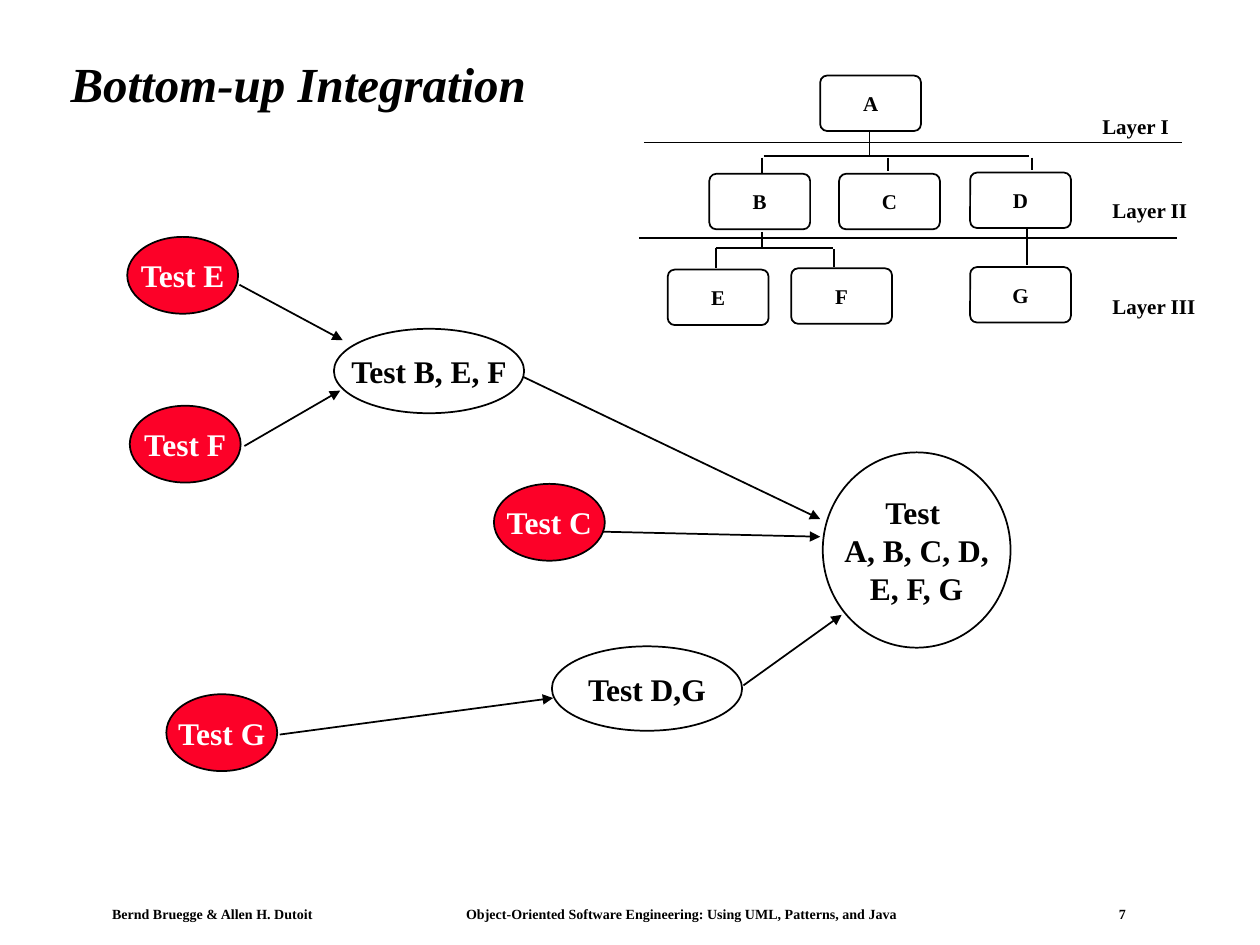
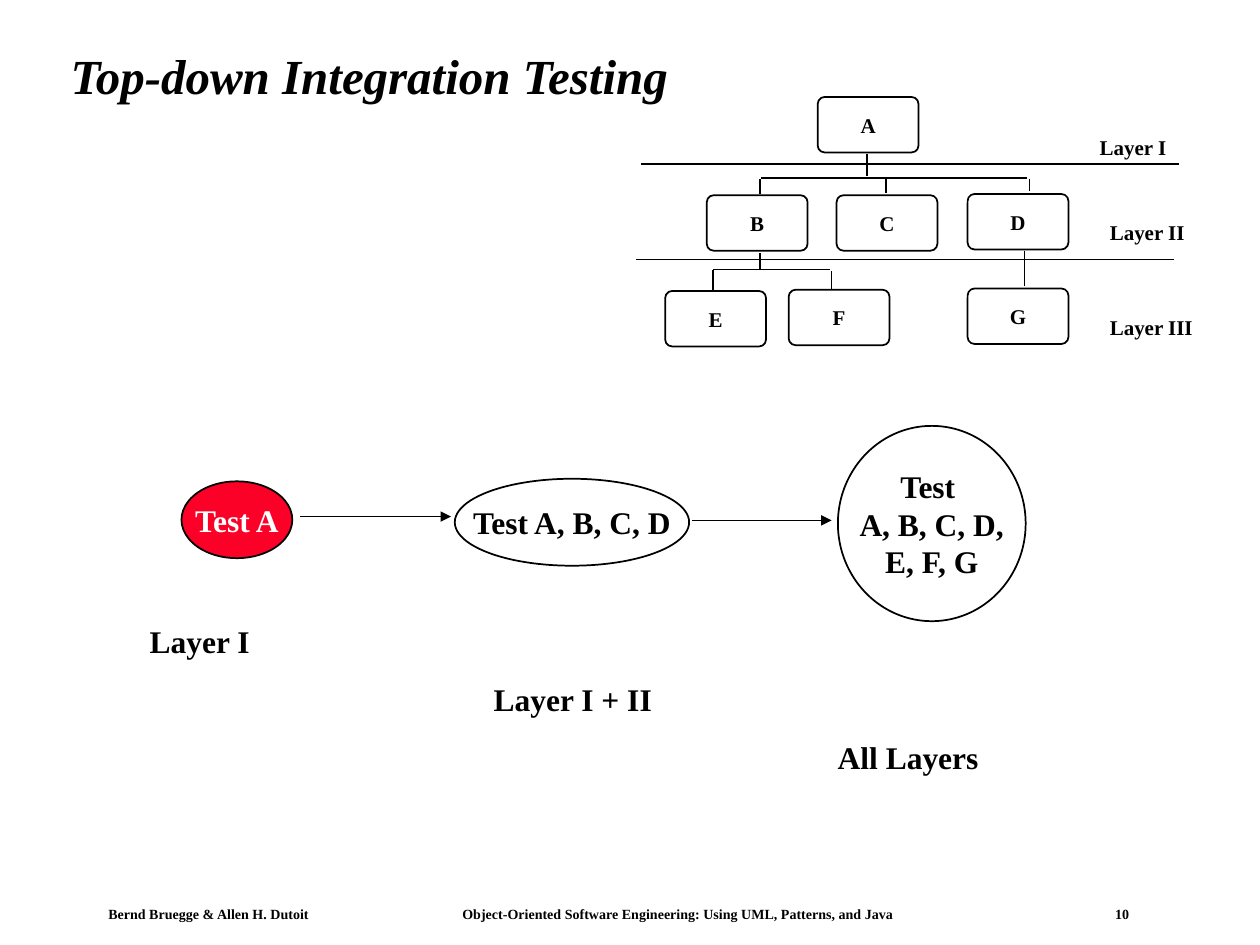
from lxml.etree import SubElement
from pptx import Presentation
from pptx.dml.color import RGBColor
from pptx.enum.shapes import MSO_CONNECTOR, MSO_SHAPE
from pptx.enum.text import MSO_ANCHOR, PP_ALIGN
from pptx.oxml.ns import qn
from pptx.util import Inches, Pt

FONT = "Times New Roman"
BLACK = RGBColor(0x00, 0x00, 0x00)
WHITE = RGBColor(0xFF, 0xFF, 0xFF)
RED = RGBColor(0xFC, 0x01, 0x28)

FOOTER = ("Bernd Bruegge & Allen H. Dutoit",
          "Object-Oriented Software Engineering: Using UML, Patterns, and Java")
FOOTER_TABS = (2.81, 7.99)

# Module hierarchy, measured from its own top left corner
BOX_SIZE = (0.8, 0.44)
MODULES = {"A": (1.44, 0), "B": (0.56, 0.78), "C": (1.59, 0.78), "D": (2.63, 0.77),
           "E": (0.23, 1.54), "F": (1.21, 1.53), "G": (2.63, 1.52)}
BRANCHES = [
    (1.83, 0.45, 1.83, 0.63), (0.99, 0.64, 3.10, 0.64),   # A down to its bar
    (0.98, 0.65, 0.98, 0.77), (1.98, 0.65, 1.98, 0.76), (3.12, 0.65, 3.12, 0.75),
    (0.98, 1.24, 0.98, 1.37), (0.61, 1.37, 1.54, 1.37),   # B down to its bar
    (0.61, 1.37, 0.61, 1.53), (1.55, 1.38, 1.55, 1.52),
    (3.08, 1.22, 3.08, 1.50),                             # D to G
]
LAYER_BORDERS = [(0.04, 0.53, 4.31, 0.53), (0, 1.29, 4.27, 1.29)]
LAYER_LABELS = [("Layer I", 3.58, 0.25, 0.73), ("Layer II", 3.66, 0.92, 0.8),
                ("Layer III", 3.66, 1.68, 0.86)]

# Test bubbles: text, left, top and kind
BUBBLE_KINDS = {  # width, height, fill, font colour
    "single": (0.88, 0.61, RED, WHITE),
    "partial": (1.51, 0.67, None, BLACK),
    "layers": (1.86, 0.69, None, BLACK),
    "system": (1.49, 1.55, None, BLACK),
}
ALL_MODULES = "Test \nA, B, C, D,\nE, F, G"
SLIDES = [
    {
        "title": "Bottom-up Integration", "title_box": (0.46, 0.22, 8.92, 0.94),
        "number": 7, "footer_left": 0.81, "hierarchy": (5.07, 0.6),
        "bubbles": [
            ("Test E", 1.01, 1.88, "single"), ("Test F", 1.03, 3.22, "single"),
            ("Test G", 1.32, 5.51, "single"), ("Test C", 3.92, 3.84, "single"),
            ("Test B, E, F", 2.65, 2.61, "partial"),
            ("Test D,G", 4.38, 5.13, "partial"),
            (ALL_MODULES, 6.53, 3.59, "system"),
        ],
        "arrows": [
            (1.90, 2.26, 2.72, 2.70), (1.94, 3.54, 2.70, 3.10),
            (2.22, 5.83, 4.39, 5.54), (4.15, 2.99, 6.51, 4.12),
            (4.78, 4.22, 6.51, 4.26), (5.90, 5.44, 6.68, 4.88),
        ],
        "captions": [],
    },
    {
        "title": "Top-down Integration Testing", "title_box": (0.46, 0.24, 8.92, 0.77),
        "number": 10, "footer_left": 0.78, "hierarchy": (5.05, 0.77),
        "bubbles": [
            ("Test A", 1.44, 3.82, "single"),
            ("Test A, B, C, D", 3.61, 3.80, "layers"),
            (ALL_MODULES, 6.65, 3.38, "system"),
        ],
        "arrows": [(2.38, 4.10, 3.58, 4.10), (5.49, 4.13, 6.60, 4.13)],
        "captions": [("Layer I", 1.09, 4.89, 1.0), ("Layer I + II", 3.82, 5.35, 1.46),
                     ("All Layers", 6.55, 5.81, 1.32)],
    },
]


def inches(values):
    return [Inches(value) for value in values]


def format_text(text_frame, size, color=BLACK, align=PP_ALIGN.LEFT, italic=False):
    for paragraph in text_frame.paragraphs:
        paragraph.alignment = align
        for run in paragraph.runs:
            run.font.name = FONT
            run.font.size = Pt(size)
            run.font.bold = True
            run.font.italic = italic
            run.font.color.rgb = color


def add_node(slide, preset, box, text, size, fill=None, color=BLACK):
    shape = slide.shapes.add_shape(preset, *inches(box))
    shape.shadow.inherit = False
    if fill is None:
        shape.fill.background()
    else:
        shape.fill.solid()
        shape.fill.fore_color.rgb = fill
    shape.line.color.rgb = BLACK
    shape.line.width = Pt(1)
    shape.text_frame.text = text
    shape.text_frame.word_wrap = False
    shape.text_frame.vertical_anchor = MSO_ANCHOR.MIDDLE
    format_text(shape.text_frame, size, color, PP_ALIGN.CENTER)
    return shape


def add_line(slide, ends, arrow=False):
    connector = slide.shapes.add_connector(MSO_CONNECTOR.STRAIGHT, *inches(ends))
    connector.line.color.rgb = BLACK
    connector.line.width = Pt(1)
    if arrow:
        SubElement(connector.line._get_or_add_ln(), qn("a:tailEnd"), type="triangle")
    SubElement(connector._element.spPr, qn("a:effectLst"))


def add_label(slide, text, left, top, width, height, size):
    label = slide.shapes.add_textbox(*inches((left, top, width, height)))
    label.text_frame.word_wrap = False
    label.text_frame.text = text
    format_text(label.text_frame, size)
    return label


def add_title(slide, text, box):
    title = slide.shapes.title
    title.left, title.top, title.width, title.height = inches(box)
    title.text_frame.text = text
    title.text_frame.vertical_anchor = MSO_ANCHOR.MIDDLE
    title.text_frame.paragraphs[0].line_spacing = 0.9
    format_text(title.text_frame, 28, italic=True)


def add_footer(slide, left, number):
    text = "\t".join((*FOOTER, str(number)))
    frame = add_label(slide, text, left, 7.15, 8.5, 0.21, 8).text_frame
    frame.word_wrap = True
    frame.margin_left = frame.margin_right = Inches(0.08)
    frame.margin_top = frame.margin_bottom = Inches(0.04)
    tab_list = SubElement(frame.paragraphs[0]._p.get_or_add_pPr(), qn("a:tabLst"))
    for position in FOOTER_TABS:
        SubElement(tab_list, qn("a:tab"), pos=str(Inches(position)), algn="l")


def add_hierarchy(slide, left, top):
    for name, (x, y) in MODULES.items():
        box = add_node(slide, MSO_SHAPE.ROUNDED_RECTANGLE,
                       (left + x, top + y, *BOX_SIZE), name, 12)
        box.adjustments[0] = 0.125
    for x1, y1, x2, y2 in BRANCHES + LAYER_BORDERS:
        add_line(slide, (left + x1, top + y1, left + x2, top + y2))
    for text, x, y, width in LAYER_LABELS:
        add_label(slide, text, left + x, top + y, width, 0.3, 12)


def build_slide(presentation, content):
    slide = presentation.slides.add_slide(presentation.slide_layouts[5])
    add_footer(slide, content["footer_left"], content["number"])
    add_title(slide, content["title"], content["title_box"])
    add_hierarchy(slide, *content["hierarchy"])

    # Test sequence
    for text, left, top, kind in content["bubbles"]:
        width, height, fill, color = BUBBLE_KINDS[kind]
        add_node(slide, MSO_SHAPE.OVAL, (left, top, width, height), text, 18, fill, color)
    for ends in content["arrows"]:
        add_line(slide, ends, arrow=True)
    for text, left, top, width in content["captions"]:
        add_label(slide, text, left, top, width, 0.4, 18)


def main():
    presentation = Presentation()
    presentation.slide_width = Inches(10)
    presentation.slide_height = Inches(7.5)
    for content in SLIDES:
        build_slide(presentation, content)
    presentation.save("out.pptx")


if __name__ == "__main__":
    main()
